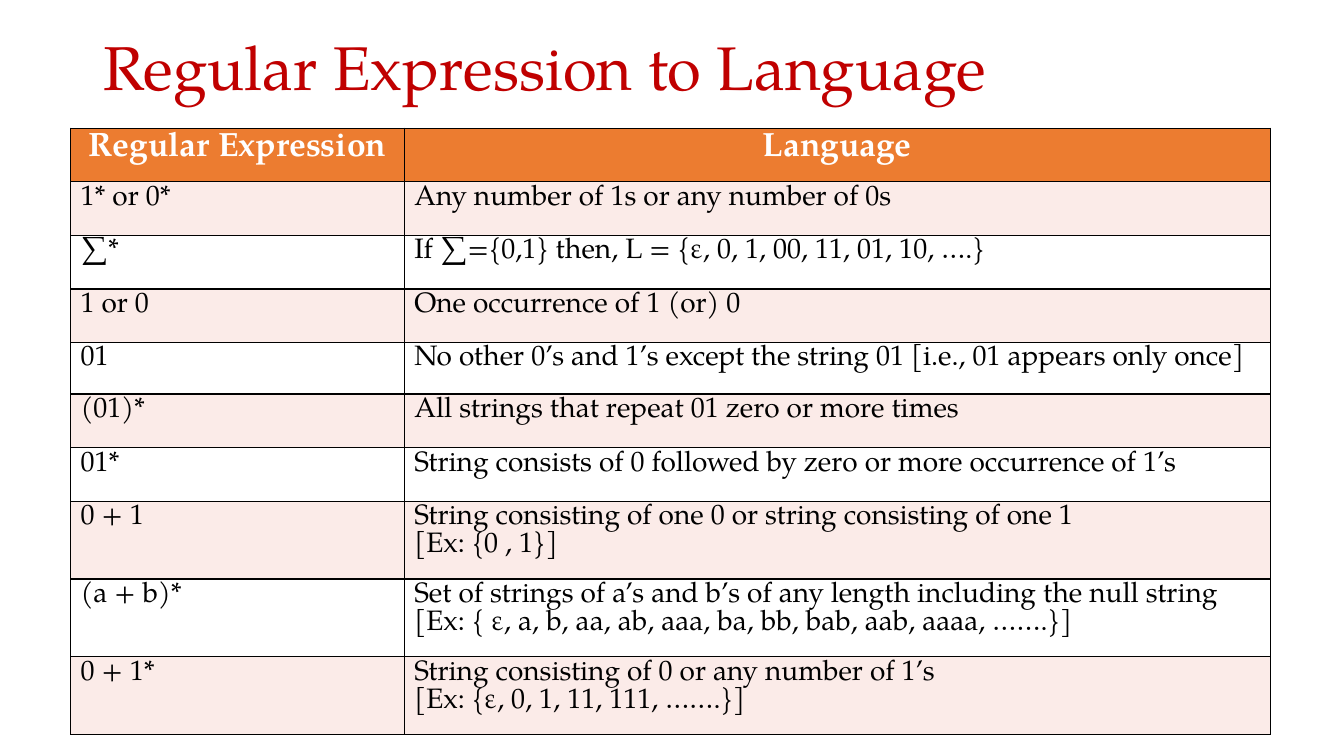
from dataclasses import dataclass

from lxml.etree import SubElement
from pptx import Presentation
from pptx.dml.color import RGBColor
from pptx.enum.text import MSO_ANCHOR, PP_ALIGN
from pptx.oxml.ns import qn
from pptx.slide import Slide
from pptx.table import Table, _Cell as Cell
from pptx.util import Cm, Pt

FONT = "TeX Gyre Pagella"
RED = RGBColor(0xC0, 0x00, 0x00)
ORANGE = RGBColor(0xEC, 0x7C, 0x30)
PINK = RGBColor(0xFB, 0xEB, 0xE8)
WHITE = RGBColor(0xFF, 0xFF, 0xFF)
BLACK = RGBColor(0x00, 0x00, 0x00)
COLUMN_WIDTHS = (8.41, 21.82)


@dataclass(frozen=True)
class Rule:
    expression: str
    language: str
    height: float = 1.35


HEADER = Rule("Regular Expression", "Language")
RULES = (
    Rule("1* or 0*", "Any number of 1s or any number of 0s"),
    Rule("∑*", "If ∑={0,1} then, L = {ε, 0, 1, 00, 11, 01, 10, ….}"),
    Rule("1 or 0", "One occurrence of 1 (or) 0"),
    Rule("01", "No other 0’s and 1’s except the string 01 [i.e., 01 appears only once]", 1.3),
    Rule("(01)*", "All strings that repeat 01 zero or more times"),
    Rule("01*", "String consists of 0 followed by zero or more occurrence of 1’s"),
    Rule("0 + 1", "String consisting of one 0 or string consisting of one 1\n[Ex: {0 , 1}]", 1.96),
    Rule(
        "(a + b)*",
        "Set of strings of a’s and b’s of any length including the null string\n"
        "[Ex: { ε, a, b, aa, ab, aaa, ba, bb, bab, aab, aaaa, …….}]",
        1.96,
    ),
    Rule("0 + 1*", "String consisting of 0 or any number of 1’s\n[Ex: {ε, 0, 1, 11, 111, …….}]", 1.96),
)


def add_borders(cell: Cell) -> None:
    properties = cell._tc.get_or_add_tcPr()
    for position, side in enumerate(("a:lnL", "a:lnR", "a:lnT", "a:lnB")):
        line = properties.makeelement(qn(side), {"w": str(Pt(1))})
        properties.insert(position, line)
        fill = SubElement(line, qn("a:solidFill"))
        SubElement(fill, qn("a:srgbClr"), val=str(BLACK))


def fill_cell(cell: Cell, text: str, indent: float, is_header: bool, is_shaded: bool) -> None:
    cell.margin_left = Cm(indent)
    cell.margin_right = cell.margin_bottom = Cm(0)
    cell.margin_top = Cm(0.1 if is_header else 0.08)
    cell.vertical_anchor = MSO_ANCHOR.TOP
    if is_header or is_shaded:
        cell.fill.solid()
        cell.fill.fore_color.rgb = ORANGE if is_header else PINK
    else:
        cell.fill.background()
    add_borders(cell)
    cell.text_frame.text = text
    for paragraph in cell.text_frame.paragraphs:
        for run in paragraph.runs:
            run.font.name = FONT
            run.font.size = Pt(24 if is_header else 20)
            run.font.bold = is_header
            run.font.color.rgb = WHITE if is_header else BLACK


def fill_table(table: Table) -> None:
    for column, width in zip(table.columns, COLUMN_WIDTHS):
        column.width = Cm(width)
    for index, rule in enumerate((HEADER, *RULES)):
        is_header = index == 0
        is_shaded = index % 2 == 1
        table.rows[index].height = Cm(rule.height)
        fill_cell(table.cell(index, 0), rule.expression, 0.46 if is_header else 0.25, is_header, is_shaded)
        fill_cell(table.cell(index, 1), rule.language, 0 if is_header else 0.25, is_header, is_shaded)
    table.cell(0, 1).text_frame.paragraphs[0].alignment = PP_ALIGN.CENTER


def add_title(slide: Slide) -> None:
    title = slide.shapes.title
    title.left, title.top, title.width, title.height = Cm(2.62), Cm(0.69), Cm(28.45), Cm(1.93)
    frame = title.text_frame
    frame.margin_left = frame.margin_right = frame.margin_top = frame.margin_bottom = Cm(0)
    frame.vertical_anchor = MSO_ANCHOR.MIDDLE
    frame.text = "Regular Expression to Language"
    paragraph = frame.paragraphs[0]
    paragraph.alignment = PP_ALIGN.LEFT
    font = paragraph.runs[0].font
    font.name, font.size, font.color.rgb = FONT, Pt(44), RED


def main() -> None:
    presentation = Presentation()
    presentation.slide_width, presentation.slide_height = Cm(33.87), Cm(19.05)
    slide = presentation.slides.add_slide(presentation.slide_layouts[5])
    add_title(slide)
    height = sum(rule.height for rule in (HEADER, *RULES))
    frame = slide.shapes.add_table(
        len(RULES) + 1, len(COLUMN_WIDTHS), Cm(1.78), Cm(3.23), Cm(sum(COLUMN_WIDTHS)), Cm(height)
    )
    fill_table(frame.table)
    presentation.save("out.pptx")


if __name__ == "__main__":
    main()
